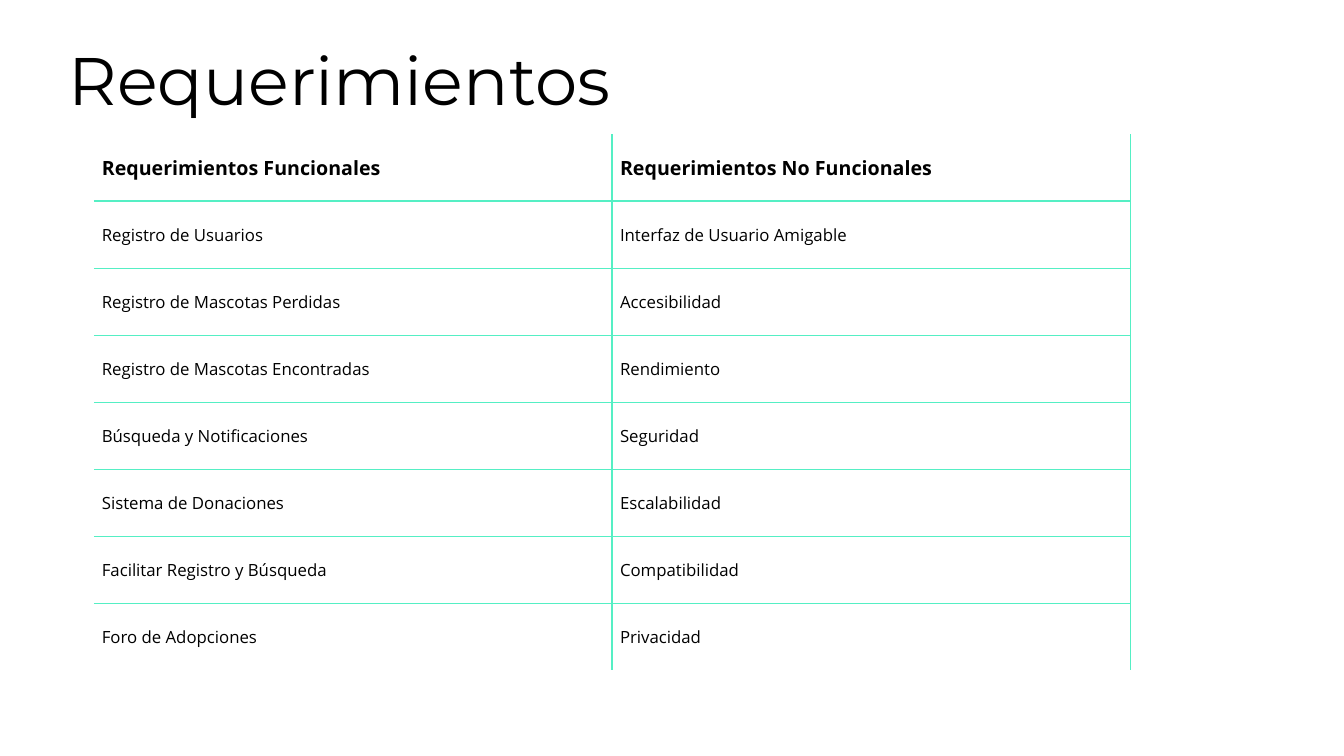
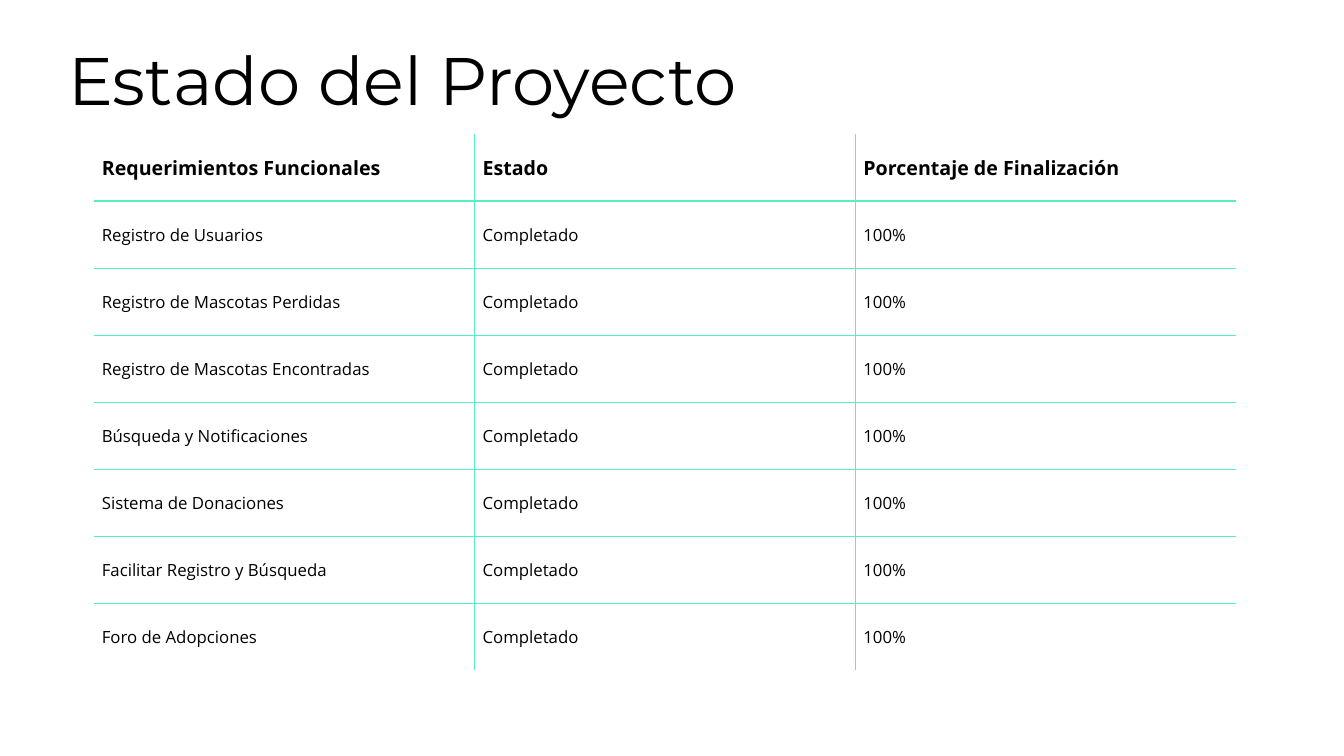
from lxml import etree
from pptx import Presentation
from pptx import util as u
from pptx.dml.color import RGBColor
from pptx.enum import text
from pptx.oxml.ns import qn

WIDTH, HEIGHT = 13.33, 7.5
INK, PAPER, RULE = "000000", "FFFFFF", "55EFC4"
TITLE_FONT, BODY_FONT = "Montserrat", "Open Sans"
TITLE_BOX = (0.6, 0.3, 11.42, 1.16)
TABLE_LEFT, TABLE_TOP, TABLE_HEIGHT = 0.93, 1.33, 5.32
INSET = 0.08

FUNCTIONAL_HEADING = "Requerimientos Funcionales"
FUNCTIONAL = [
    "Registro de Usuarios",
    "Registro de Mascotas Perdidas",
    "Registro de Mascotas Encontradas",
    "Búsqueda y Notificaciones",
    "Sistema de Donaciones",
    "Facilitar Registro y Búsqueda",
    "Foro de Adopciones",
]
NON_FUNCTIONAL = [
    "Interfaz de Usuario Amigable",
    "Accesibilidad",
    "Rendimiento",
    "Seguridad",
    "Escalabilidad",
    "Compatibilidad",
    "Privacidad",
]


def color(value):
    """Turn a hex string into a colour."""
    return RGBColor.from_string(value)


def set_font(paragraph, name, size, bold=False):
    """Format a left-aligned paragraph in the ink colour."""
    paragraph.alignment = text.PP_ALIGN.LEFT
    font = paragraph.font
    font.name, font.size, font.bold = name, u.Pt(size), bold
    font.color.rgb = color(INK)


def set_insets(target):
    """Give a cell or text frame the shared inner margins."""
    target.margin_left = target.margin_right = u.Inches(INSET)
    target.margin_top = target.margin_bottom = u.Inches(INSET)


def add_borders(cell, ruled_sides):
    """Rule the given sides of a cell and clear the others."""
    properties = cell._tc.get_or_add_tcPr()
    for side in "LRTB":
        border = etree.SubElement(properties, qn(f"a:ln{side}"))
        if side in ruled_sides:
            border.set("w", str(u.Pt(1)))
            fill = etree.SubElement(border, qn("a:solidFill"))
            etree.SubElement(fill, qn("a:srgbClr")).set("val", RULE)
        else:
            border.set("w", "0")
            etree.SubElement(border, qn("a:noFill"))


def add_title(slide, wording):
    """Place and format the slide title."""
    title = slide.shapes.title
    title.left, title.top, title.width, title.height = map(u.Inches, TITLE_BOX)
    frame = title.text_frame
    frame.text = wording
    frame.word_wrap = True
    frame.auto_size = text.MSO_AUTO_SIZE.NONE
    frame.vertical_anchor = text.MSO_ANCHOR.TOP
    set_insets(frame)
    set_font(frame.paragraphs[0], TITLE_FONT, 48)


def add_ruled_table(slide, columns, left, top, width, height):
    """Draw columns as a table with inner rules and open outer edges."""
    rows = list(zip(*columns))
    last_row, last_column = len(rows) - 1, len(columns) - 1
    table = slide.shapes.add_table(
        len(rows), len(columns), *map(u.Inches, (left, top, width, height))
    ).table
    table.first_row = table.horz_banding = False
    for column in table.columns:
        column.width = u.Inches(width / len(columns))
    for r, row in enumerate(rows):
        table.rows[r].height = u.Inches(height / len(rows))
        for c, wording in enumerate(row):
            cell = table.cell(r, c)
            cell.text = wording
            cell.vertical_anchor = text.MSO_ANCHOR.MIDDLE
            set_insets(cell)
            inner = {"L": c > 0, "R": c < last_column, "T": r > 0, "B": r < last_row}
            if len(columns) == 2:
                inner["R"] = True
            add_borders(cell, [side for side, ruled in inner.items() if ruled])
            cell.fill.solid()
            cell.fill.fore_color.rgb = color(PAPER)
            heading = r == 0
            set_font(cell.text_frame.paragraphs[0], BODY_FONT, 14 if heading else 12, heading)


def add_table_slide(deck, title, columns, table_width):
    """Add a slide made of a title above a ruled table."""
    slide = deck.slides.add_slide(deck.slide_layouts[5])
    add_title(slide, title)
    add_ruled_table(slide, columns, TABLE_LEFT, TABLE_TOP, table_width, TABLE_HEIGHT)


def main():
    """Build and save the presentation."""
    deck = Presentation()
    deck.slide_width, deck.slide_height = u.Inches(WIDTH), u.Inches(HEIGHT)
    background = deck.slide_master.background.fill
    background.solid()
    background.fore_color.rgb = color(PAPER)

    functional = [FUNCTIONAL_HEADING, *FUNCTIONAL]
    non_functional = ["Requerimientos No Funcionales", *NON_FUNCTIONAL]
    status = ["Estado"] + ["Completado"] * len(FUNCTIONAL)
    progress = ["Porcentaje de Finalización"] + ["100%"] * len(FUNCTIONAL)
    add_table_slide(deck, "Requerimientos", [functional, non_functional], 10.28)
    add_table_slide(deck, "Estado del Proyecto", [functional, status, progress], 11.33)
    deck.save("out.pptx")


if __name__ == "__main__":
    main()
